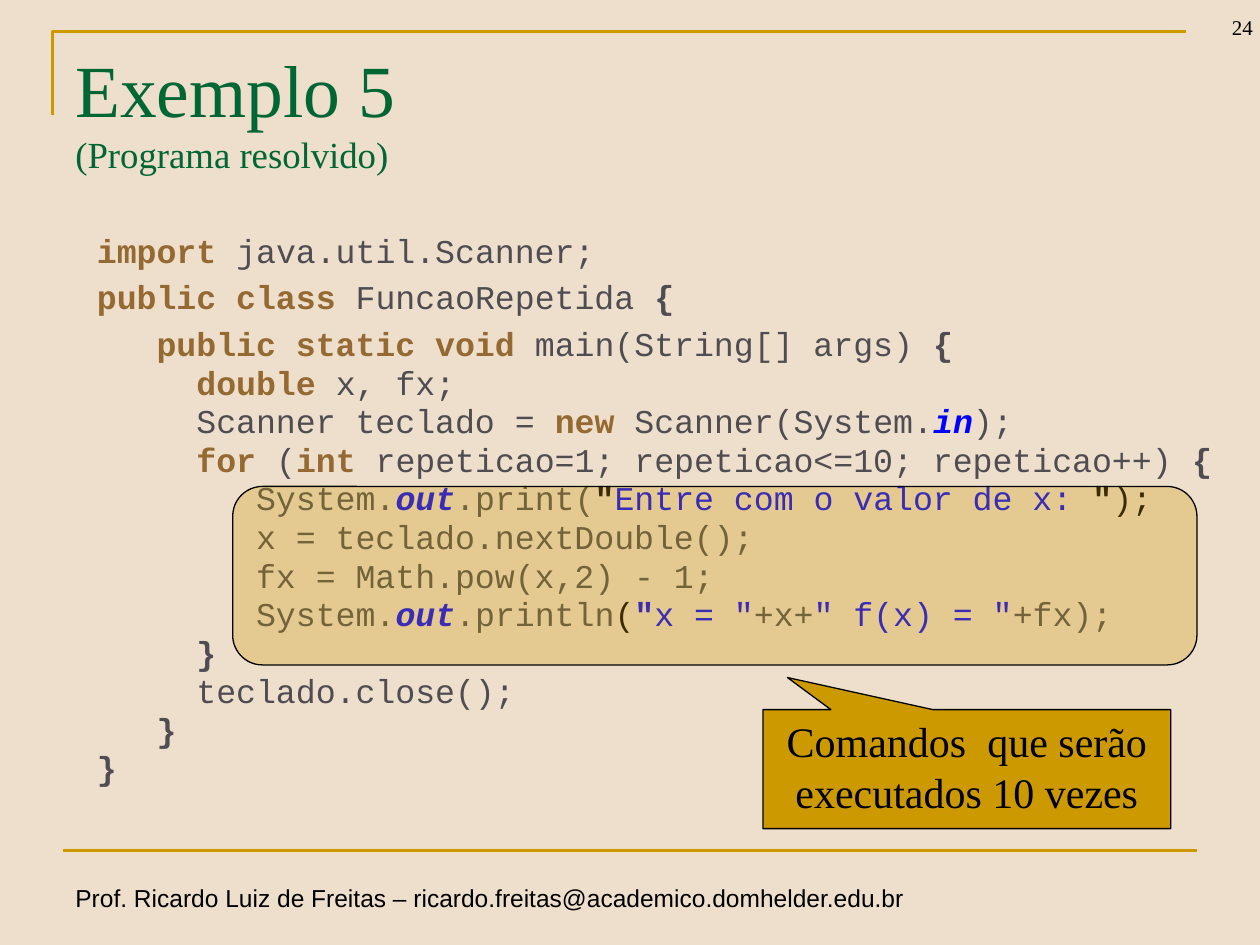
from lxml import etree
from pptx import Presentation
from pptx.dml.color import RGBColor
from pptx.enum import shapes, text
from pptx.oxml.ns import qn
from pptx.util import Pt

SAND = RGBColor(0xEE, 0xDF, 0xCC)
GOLD = RGBColor(0xCC, 0x99, 0x00)
GREEN = RGBColor(0x00, 0x66, 0x33)
BROWN = RGBColor(0x94, 0x6A, 0x32)
GRAY = RGBColor(0x4F, 0x4D, 0x52)
BLUE = RGBColor(0x00, 0x00, 0xFF)
BLACK = RGBColor(0, 0, 0)
SERIF = "Times New Roman"

# Code styles: colour, bold, italic
KEYWORD = (BROWN, True, False)
PLAIN = (GRAY, False, False)
BRACE = (GRAY, True, False)
FIELD = (BLUE, True, True)
STRING = (BLUE, False, False)
STRING_BOLD = (BLUE, True, False)
DARK = (BLACK, False, False)
DARK_BOLD = (BLACK, True, False)

CODE = [
    [("import ", KEYWORD), ("java.util.Scanner;", PLAIN)],
    [("public class ", KEYWORD), ("FuncaoRepetida ", PLAIN), ("{", BRACE)],
    [("   public static void ", KEYWORD), ("main(String[] args) ", PLAIN), ("{", BRACE)],
    [("     double ", KEYWORD), ("x, fx;", PLAIN)],
    [("     Scanner teclado = ", PLAIN), ("new", KEYWORD), (" Scanner(System.", PLAIN),
     ("in", FIELD), (");", PLAIN)],
    [("     for", KEYWORD), (" (", PLAIN), ("int ", KEYWORD),
     ("repeticao=1; repeticao<=10; repeticao++) ", PLAIN), ("{", BRACE)],
    [("        System.", PLAIN), ("out", FIELD), (".print(", PLAIN), ('"', DARK_BOLD),
     ("Entre com o valor de x: ", STRING), ('"', DARK_BOLD), (");", DARK)],
    [("        x = teclado.nextDouble();", PLAIN)],
    [("        fx = Math.pow(x,2) - 1;", PLAIN)],
    [("        System.", PLAIN), ("out", FIELD), (".println", PLAIN), ("(", DARK),
     ('"', STRING_BOLD), ('x = "', STRING), ("+x+", PLAIN), ('" f(x) = "', STRING),
     ("+fx);", PLAIN)],
    [("     }", BRACE)],
    [("     teclado.close();", PLAIN)],
    [("   }", BRACE)],
    [("}", BRACE)],
]
LOOSE_LINES = 3  # the first lines are set at full line spacing


def add_text(page, left, top, width, height, wrap=True):
    frame = page.shapes.add_textbox(Pt(left), Pt(top), Pt(width), Pt(height)).text_frame
    frame.word_wrap = wrap
    return frame


def set_font(font, name, size, color):
    font.name = name
    font.size = Pt(size)
    font.color.rgb = color


deck = Presentation()
deck.slide_width, deck.slide_height = Pt(720), Pt(540)
page = deck.slides.add_slide(deck.slide_layouts[6])
page.background.fill.solid()
page.background.fill.fore_color.rgb = SAND

# Footer
para = add_text(page, 36, 501, 494, 24.5, wrap=False).paragraphs[0]
para.text = "Prof. Ricardo Luiz de Freitas – ricardo.freitas@academico.domhelder.edu.br"
set_font(para.font, "Arial", 14, BLACK)

# Corner frame and footer rule
builder = page.shapes.build_freeform(Pt(30), Pt(66))
builder.add_line_segments([(Pt(30), Pt(18)), (Pt(678), Pt(18))], close=False)
corner = builder.convert_to_shape()
corner.fill.background()
corner.shadow.inherit = False
rule = page.shapes.add_connector(shapes.MSO_CONNECTOR.STRAIGHT, Pt(36), Pt(486), Pt(684), Pt(486))
etree.SubElement(rule._element.spPr, qn("a:effectLst"))
for item in (corner, rule):
    item.line.color.rgb = GOLD
    item.line.width = Pt(1.5)

# Slide number
frame = add_text(page, 669, -10, 54, 36)
frame.vertical_anchor = text.MSO_ANCHOR.BOTTOM
para = frame.paragraphs[0]
para.text = "24"
para.alignment = text.PP_ALIGN.RIGHT
set_font(para.font, SERIF, 12, BLACK)

# Title and subtitle
para = add_text(page, 36, 21.5, 648, 90).paragraphs[0]
span = para.add_run()
span.text = "Exemplo 5 "
set_font(span.font, SERIF, 42, GREEN)
para.add_line_break()
span = para.add_run()
span.text = "(Programa resolvido)"
set_font(span.font, SERIF, 21, GREEN)

# Code listing
frame = add_text(page, 48.3, 128, 671.7, 329)
for number, line in enumerate(CODE):
    para = frame.add_paragraph() if number else frame.paragraphs[0]
    if number:
        para.space_before = Pt(3.8)
    if number >= LOOSE_LINES:
        para.line_spacing = 0.8
    for words, (color, bold, italic) in line:
        span = para.add_run()
        span.text = words
        set_font(span.font, "Courier New", 19, color)
        span.font.bold, span.font.italic = bold, italic

# Loop body highlight and callout
highlight = page.shapes.add_shape(shapes.MSO_SHAPE.FLOWCHART_ALTERNATE_PROCESS,
                                  Pt(133), Pt(278), Pt(551), Pt(102))
callout = page.shapes.add_shape(shapes.MSO_SHAPE.RECTANGULAR_CALLOUT,
                                Pt(436), Pt(405.5), Pt(233), Pt(68))
callout.adjustments[0], callout.adjustments[1] = -0.44, -0.77
for box in (highlight, callout):
    box.shadow.inherit = False
    box.fill.solid()
    box.fill.fore_color.rgb = GOLD
    box.line.color.rgb = BLACK
    box.line.width = Pt(0.75)
fill_color = highlight._element.spPr.find(qn("a:solidFill")).find(qn("a:srgbClr"))
etree.SubElement(fill_color, qn("a:alpha"), val="29000")

callout.text_frame.word_wrap = True
callout.text_frame.vertical_anchor = text.MSO_ANCHOR.TOP
para = callout.text_frame.paragraphs[0]
para.text = "Comandos  que serão executados 10 vezes"
para.alignment = text.PP_ALIGN.CENTER
set_font(para.font, SERIF, 24, BLACK)

deck.save("out.pptx")
